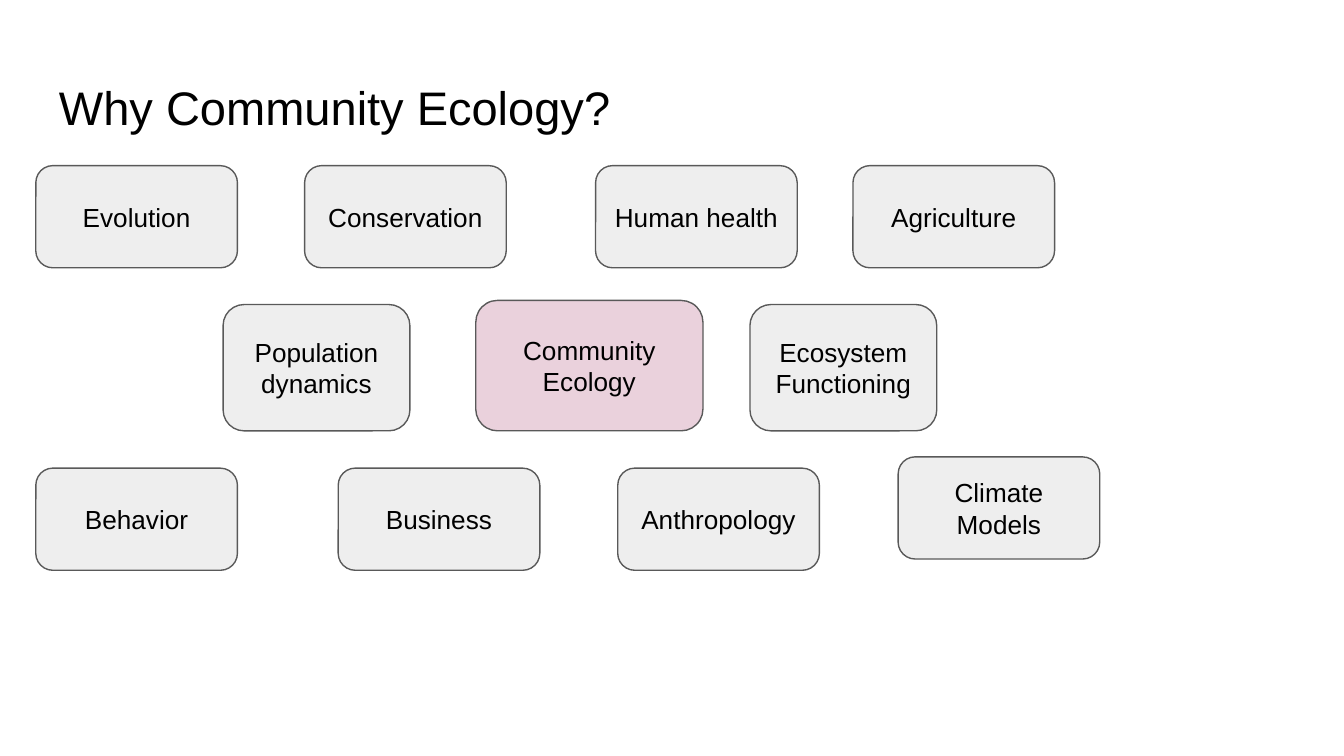
from pptx import Presentation
from pptx.dml.color import RGBColor
from pptx.enum.shapes import MSO_SHAPE as Shape
from pptx.enum.text import MSO_ANCHOR as Anchor, PP_ALIGN as Align
from pptx.util import Inches, Pt

# Grid of 100 columns; rows have the same size as columns
SLIDE_WIDTH = 10
SLIDE_HEIGHT = SLIDE_WIDTH * 9 / 16
UNIT = SLIDE_WIDTH / 100

BLACK, GREY, LIGHT_GREY, PINK = "000000", "595959", "EEEEEE", "EAD1DC"


def grid(*lengths):
    return [Inches(length * UNIT) for length in lengths]


def color(hex_string):
    return RGBColor.from_string(hex_string)


def write(shape, text, size=14, align=Align.CENTER, anchor=Anchor.MIDDLE):
    frame = shape.text_frame
    frame.word_wrap = True
    frame.vertical_anchor = anchor
    frame.margin_left = frame.margin_right = Inches(0.1)
    frame.margin_top = frame.margin_bottom = Inches(0.1)
    paragraph = frame.paragraphs[0]
    paragraph.alignment = align
    run = paragraph.add_run()
    run.text = text
    run.font.name = "Arial"
    run.font.size = Pt(size)
    run.font.color.rgb = color(BLACK)


def add_title(slide, box, text):
    shape = slide.shapes.add_textbox(*grid(*box))
    write(shape, text, size=25.2, align=Align.LEFT, anchor=Anchor.TOP)


def add_topic(slide, box, text, fill=LIGHT_GREY):
    shape = slide.shapes.add_shape(Shape.ROUNDED_RECTANGLE, *grid(*box))
    shape.shadow.inherit = False
    shape.fill.solid()
    shape.fill.fore_color.rgb = color(fill)
    shape.line.color.rgb = color(GREY)
    shape.line.width = Pt(0.75)
    write(shape, text)


def add_topic_row(slide, box, topics):
    """Place (column, text) topics of one size, all relative to the box."""
    left, top, width, height = box
    for column, text in topics:
        add_topic(slide, (left + column, top, width, height), text)


def main():
    presentation = Presentation()
    presentation.slide_width = Inches(SLIDE_WIDTH)
    presentation.slide_height = Inches(SLIDE_HEIGHT)
    slide = presentation.slides.add_slide(presentation.slide_layouts[6])

    add_title(slide, (3.4, 4.87, 93.2, 6.3), "Why Community Ecology?")

    # Central topic
    add_topic(slide, (35.4, 22.36, 16.9, 9.7), "Community Ecology", fill=PINK)

    # Related topics: box of the first topic, then column offsets
    add_topic_row(slide, (2.67, 12.33, 15, 7.6), [
        (0, "Evolution"), (20, "Conservation"),
        (41.65, "Human health"), (60.8, "Agriculture")])
    add_topic_row(slide, (16.6, 22.66, 13.9, 9.4), [
        (0, "Population dynamics"), (39.2, "Ecosystem Functioning")])
    add_topic_row(slide, (2.67, 34.84, 15, 7.6), [
        (0, "Behavior"), (22.5, "Business"), (43.3, "Anthropology")])
    add_topic(slide, (66.83, 34, 15, 7.6), "Climate Models")

    presentation.save("out.pptx")


if __name__ == "__main__":
    main()
